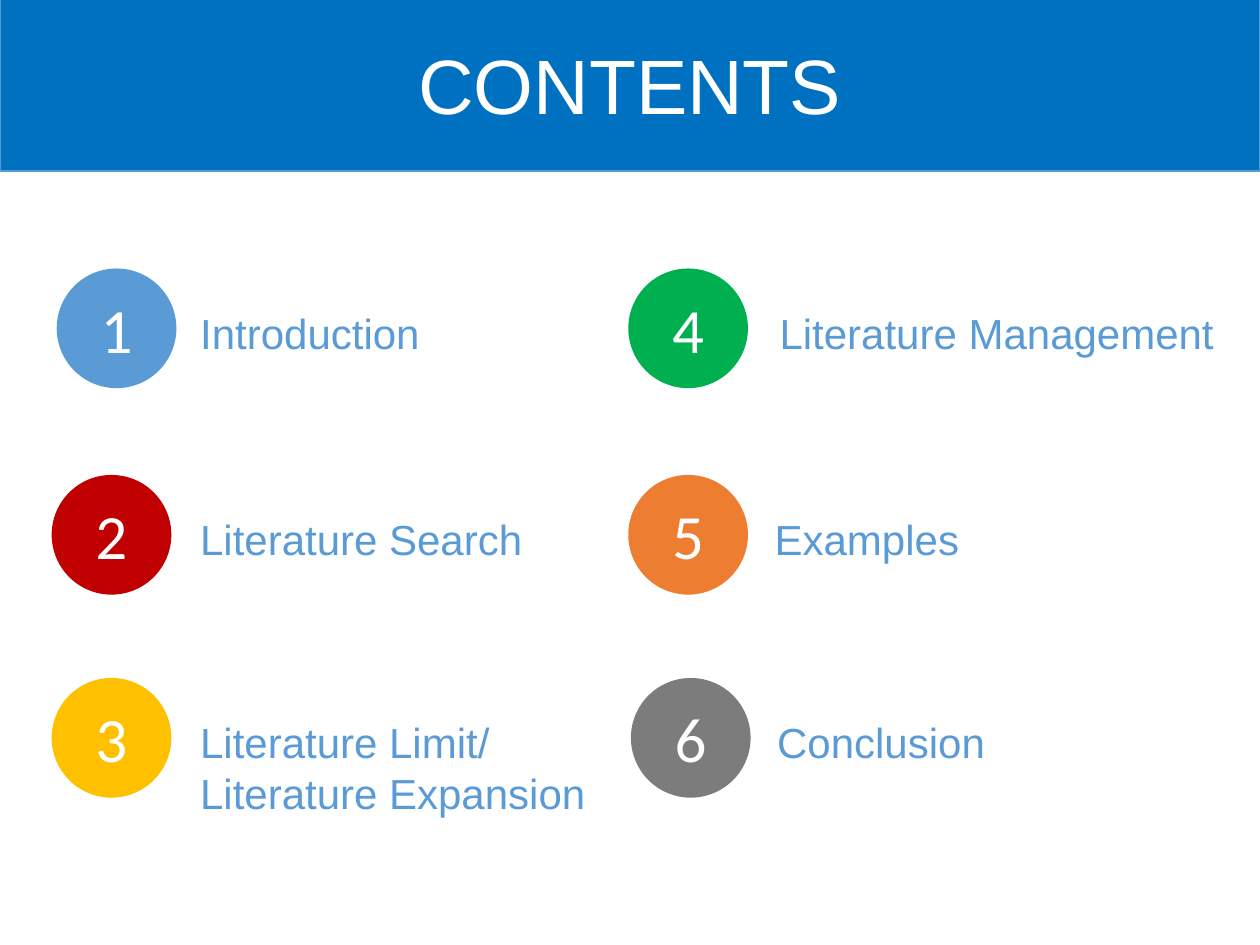
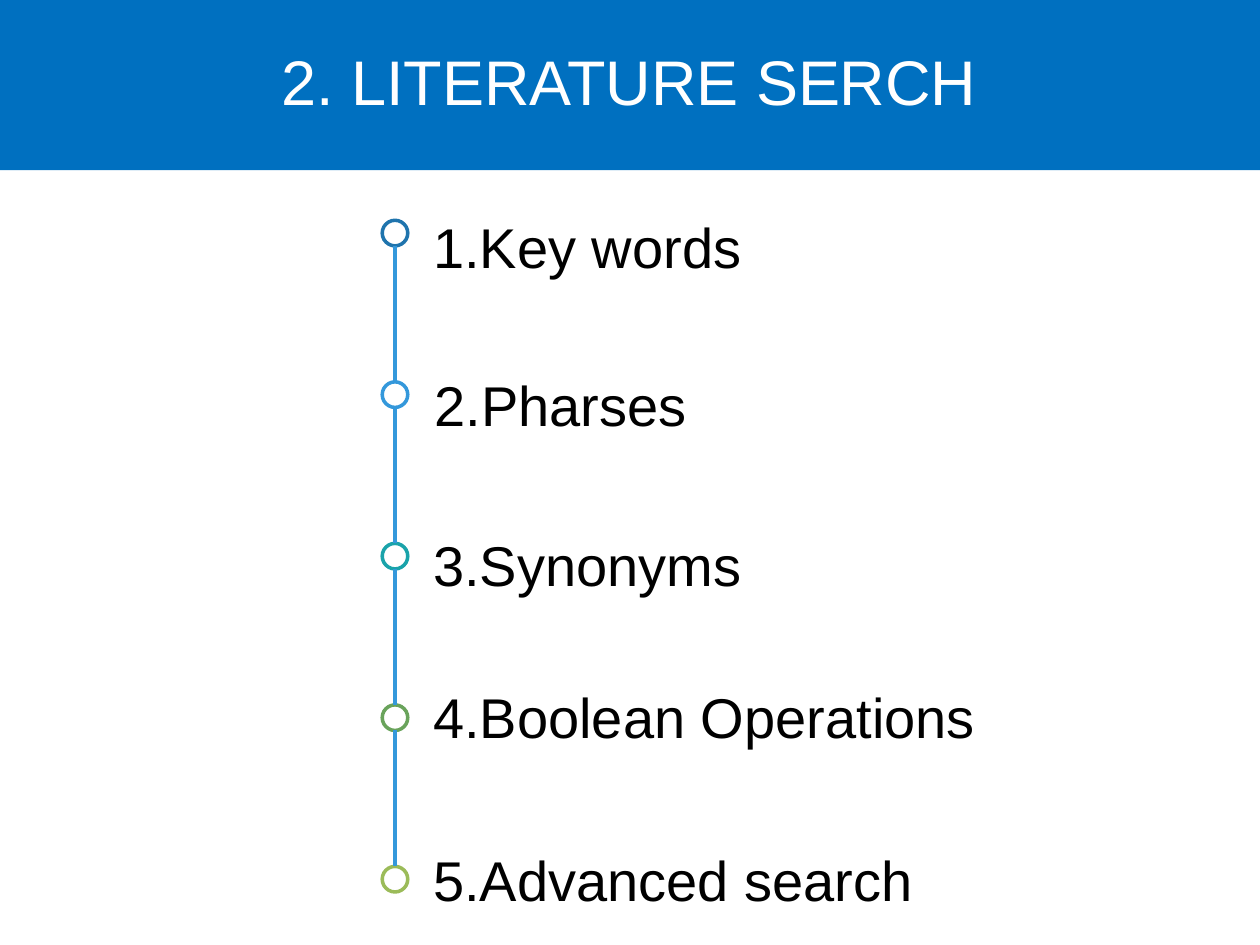
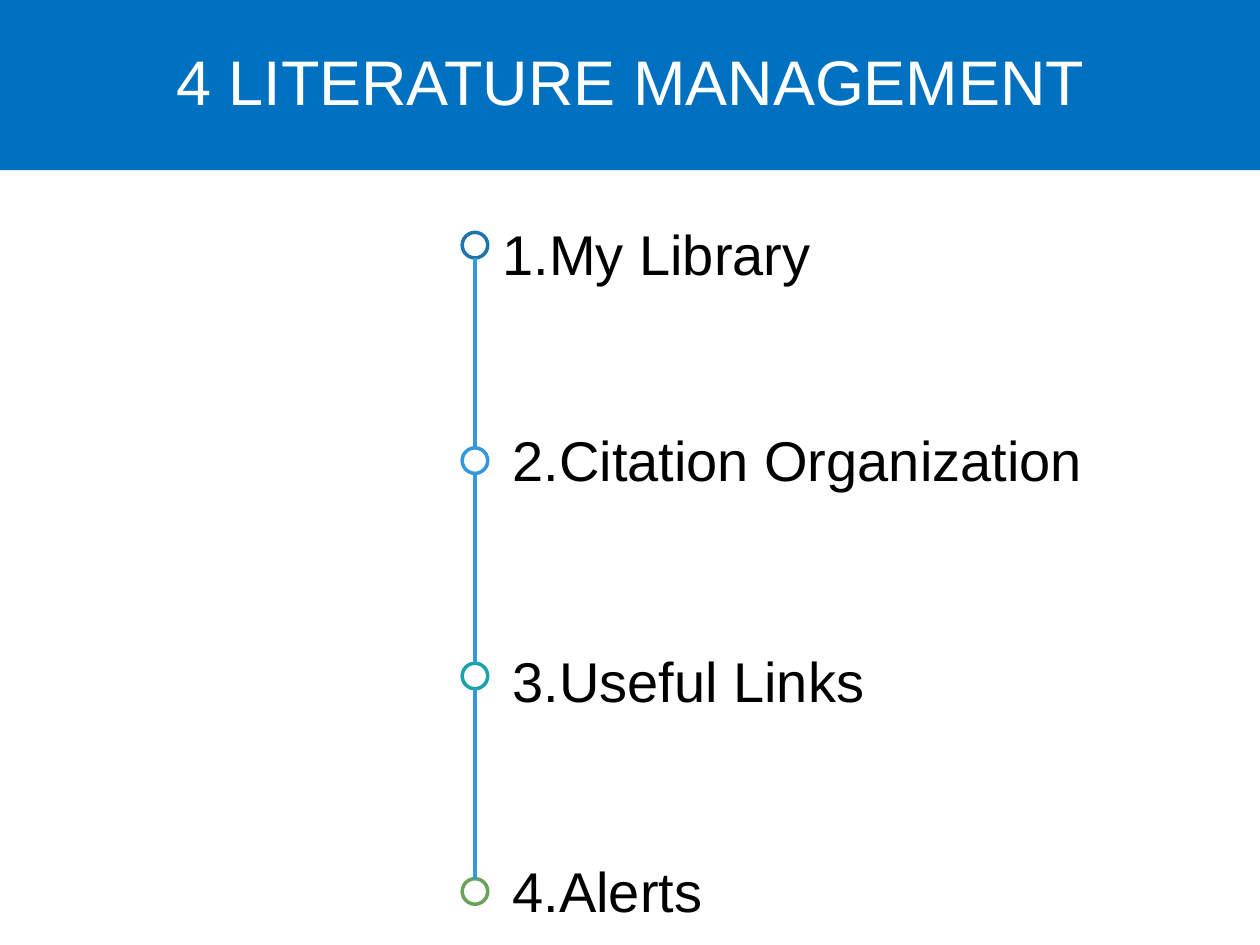
from lxml import etree
from pptx import Presentation
from pptx.dml.color import RGBColor
from pptx.enum.shapes import MSO_CONNECTOR, MSO_SHAPE
from pptx.enum.text import MSO_ANCHOR, MSO_AUTO_SIZE, PP_ALIGN
from pptx.oxml.ns import qn
from pptx.util import Pt

RECT, OVAL = MSO_SHAPE.RECTANGLE, MSO_SHAPE.OVAL
STRAIGHT = MSO_CONNECTOR.STRAIGHT
TOP, MIDDLE = MSO_ANCHOR.TOP, MSO_ANCHOR.MIDDLE
LEFT, CENTER = PP_ALIGN.LEFT, PP_ALIGN.CENTER
FIT_SHAPE = MSO_AUTO_SIZE.SHAPE_TO_FIT_TEXT

BAND_BLUE = RGBColor(0x00, 0x70, 0xC0)
LIGHT_BLUE = RGBColor(0x5B, 0x9B, 0xD5)
LINE_BLUE = RGBColor(0x34, 0x98, 0xDB)
DARK_BLUE = RGBColor(0x1F, 0x74, 0xAD)
TEAL = RGBColor(0x1A, 0xA3, 0xAA)
LEAF = RGBColor(0x69, 0xA3, 0x5B)
LIME = RGBColor(0x9B, 0xBB, 0x59)
RED = RGBColor(0xC0, 0x00, 0x00)
YELLOW = RGBColor(0xFF, 0xC0, 0x00)
GREEN = RGBColor(0x00, 0xB0, 0x50)
ORANGE = RGBColor(0xED, 0x7D, 0x31)
GRAY = RGBColor(0x7C, 0x7C, 0x7C)
BLACK = RGBColor(0, 0, 0)
WHITE = RGBColor(0xFF, 0xFF, 0xFF)


def set_text(sp, text, size, color, font="Arial", align=LEFT, anchor=TOP, wrap=True):
    tf = sp.text_frame
    tf.text = text
    tf.word_wrap = wrap
    tf.vertical_anchor = anchor
    for p in tf.paragraphs:
        p.alignment = align
        for r in p.runs:
            r.font.name = font
            r.font.size = Pt(size)
            r.font.color.rgb = color


def add_shape(s, kind, x, y, w, h, fill, line=None, line_width=1):
    sp = s.shapes.add_shape(kind, Pt(x), Pt(y), Pt(w), Pt(h))
    sp.shadow.inherit = False
    sp.fill.solid()
    sp.fill.fore_color.rgb = fill
    if line is None:
        sp.line.fill.background()
    else:
        sp.line.color.rgb = line
        sp.line.width = Pt(line_width)
    return sp


prs = Presentation()
prs.slide_width, prs.slide_height = Pt(720), Pt(540)

# Band and title of every slide: title, size, left, top, width, height, band top, band line
headers = [
    ("CONTENTS", 44, 215.3, 18, 289.4, 60.5, -1.5, LIGHT_BLUE),
    ("2. LITERATURE SERCH", 36, 151.9, 20.9, 415.4, 51, -2.2, None),
    ("4 LITERATURE MANAGEMENT", 36, 90.7, 20.9, 539.3, 51, -2.2, None),
]
slides = []
for text, size, x, y, w, h, band_top, band_line in headers:
    s = prs.slides.add_slide(prs.slide_layouts[5])
    title = s.shapes.title
    title.left, title.top, title.width, title.height = Pt(x), Pt(y), Pt(w), Pt(h)
    set_text(title, text, size, WHITE, align=CENTER, wrap=False)
    title.text_frame.auto_size = FIT_SHAPE
    band = add_shape(s, RECT, 0, band_top, 720, 99.4, BAND_BLUE, band_line)
    title.element.addprevious(band.element)  # band lies behind the title
    slides.append(s)

# Contents: circle left, label left, label width, text, colour, alignment, wrap
DISC = 68.4
rows = [153.4, 271.4, 387.4]
chapters = [
    (32.4, 107.3, 139.7, "Introduction", LIGHT_BLUE, CENTER, False),
    (29.5, 107.3, 198.7, "Literature Search", RED, LEFT, False),
    (29.5, 107.3, 234.7, "Literature Limit/\nLiterature Expansion", YELLOW, LEFT, False),
    (359, 435.6, 267.8, "Literature Management", GREEN, CENTER, True),
    (359, 435.6, 144, "Examples", ORANGE, LEFT, True),
    (360.5, 437, 144, "Conclusion", GRAY, LEFT, True),
]
s = slides[0]
for i, (x, label_x, label_w, text, color, align, wrap) in enumerate(chapters):
    y = rows[i % 3]
    disc = add_shape(s, OVAL, x, y, DISC, DISC, color)
    set_text(disc, str(i + 1), 36, WHITE, "Calibri", CENTER, MIDDLE)
    label_h = 36 + 29.5 * text.count("\n")
    label = s.shapes.add_textbox(Pt(label_x), Pt(y + 18.7), Pt(label_w), Pt(label_h))
    set_text(label, text, 24, LIGHT_BLUE, align=align, wrap=wrap)
    label.text_frame.auto_size = FIT_SHAPE

# Timelines: slide, ring left, first ring top, step, items (text, left, top, width)
RING = 14.6
ring_colors = [DARK_BLUE, LINE_BLUE, TEAL, LEAF, LIME]
timelines = [
    (slides[1], 218.4, 125.9, 92.3, [
        ("1.Key words", 240.5, 118.1, 238.3),
        ("2.Pharses", 241.2, 208.1, 205.2),
        ("3.Synonyms", 240.5, 299.5, 278.6),
        ("4.Boolean Operations", 240.5, 386.6, 356.4),
        ("5.Advanced search", 240.5, 479.5, 326.9),
    ]),
    (slides[2], 264.1, 132.8, 123.1, [
        ("1.My Library", 280.1, 121.7, 200.9),
        ("2.Citation Organization", 285.8, 239.8, 367.2),
        ("3.Useful Links", 285.8, 365.8, 324),
        ("4.Alerts", 285.8, 486, 131.8),
    ]),
]
for s, x, first_y, step, items in timelines:
    for i, (text, label_x, label_y, label_w) in enumerate(items):
        y = first_y + i * step
        label = s.shapes.add_textbox(Pt(label_x), Pt(label_y), Pt(label_w), Pt(46))
        set_text(label, text, 32, BLACK)
        label.text_frame.auto_size = FIT_SHAPE
        ring = add_shape(s, OVAL, x, y, RING, RING, WHITE, ring_colors[i], 2)
        if i > 0:
            mid = x + RING / 2
            cx = s.shapes.add_connector(STRAIGHT, Pt(mid), Pt(y - step + RING), Pt(mid), Pt(y))
            cx.end_connect(ring, 0)
            cx.line.color.rgb = LINE_BLUE
            cx.line.width = Pt(2)
            etree.SubElement(cx.element.spPr, qn("a:effectLst"))

prs.save("out.pptx")
